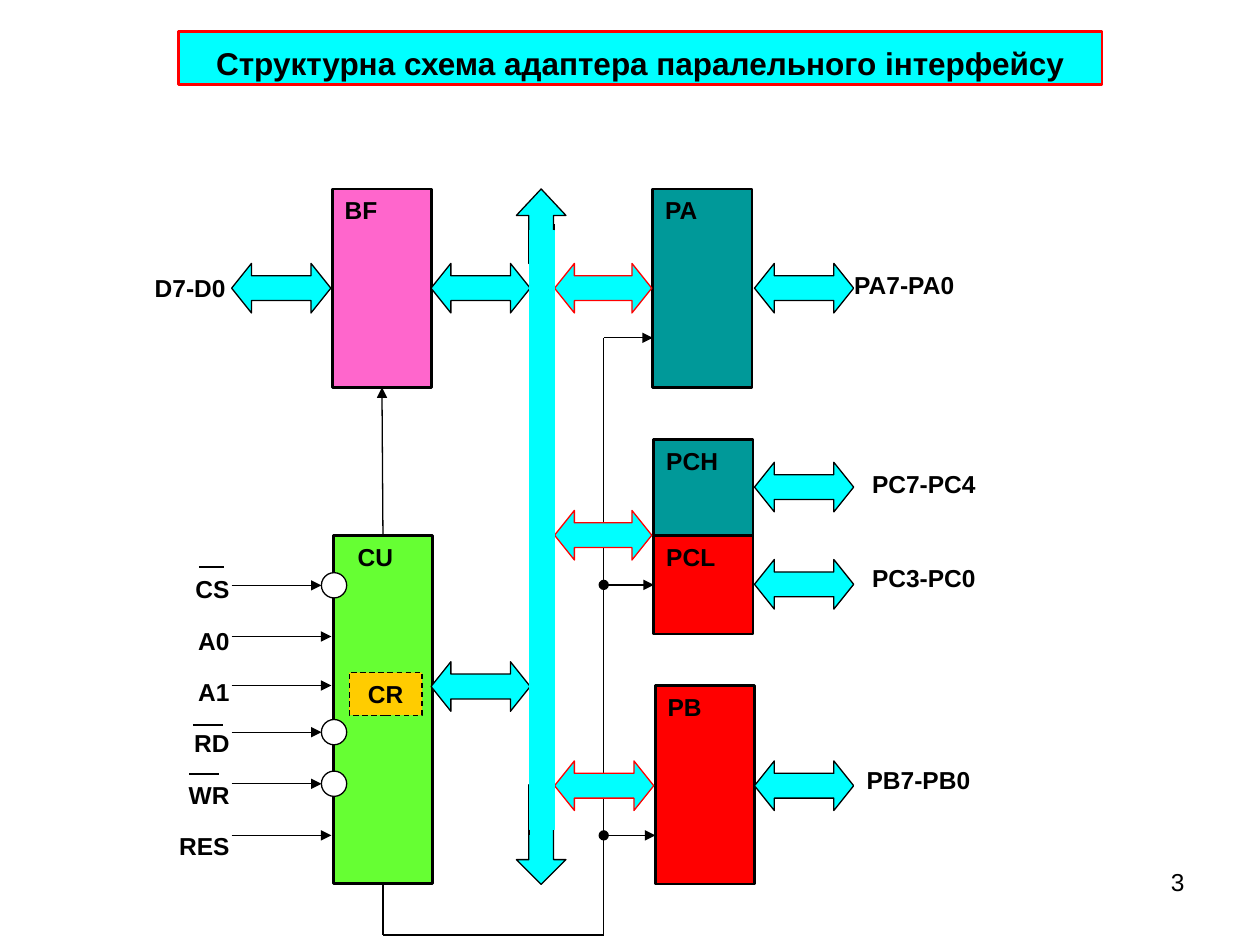
import pptx
import pptx.util
import pptx.dml.color
import pptx.enum.dml
import pptx.enum.shapes
import pptx.enum.text
import lxml.etree

Cm, Pt = pptx.util.Cm, pptx.util.Pt
SHAPE = pptx.enum.shapes.MSO_SHAPE
ALIGN = pptx.enum.text.PP_ALIGN
ANCHOR = pptx.enum.text.MSO_ANCHOR

COLORS = {
    "black": "000000", "white": "FFFFFF", "cyan": "00FFFF", "red": "FF0000",
    "pink": "FF66CC", "green": "66FF33", "teal": "009999", "amber": "FFCC00",
}
LABEL_FONT = {"name": "Arial", "size": Pt(14), "bold": True}
TITLE_FONT = {**LABEL_FONT, "size": Pt(18)}
NUMBER_FONT = {**LABEL_FONT, "bold": False}

# Content; all lengths are centimetres
TITLE = ("Структурна схема адаптера паралельного інтерфейсу", (3.6, 0.64, 18.62, 1.06))
SLIDE_NUMBER = ("3", (18.21, 17.35, 5.92, 1.32))

# name, box, fill, left inset
LEFT_BLOCKS = [
    ("CU", (6.72, 10.8, 2, 7.01), "green", 0.49),
    ("BF", (6.7, 3.81, 2, 4), "pink", 0.25),
]
PORT_BLOCKS = [
    ("PB", (13.21, 13.82, 2, 4), "red", 0.25),
    ("PCH", (13.18, 8.86, 2, 1.98), "teal", 0.25),
    ("PA", (13.16, 3.81, 2, 4), "teal", 0.25),
    ("PCL", (13.18, 10.8, 2, 1.98), "red", 0.25),
]
CONTROL_REGISTER = ("CR", (7.04, 13.56, 1.47, 0.86))

# label, box, side inset, alignment
PIN_LABELS = [
    ("D7-D0", (2.95, 5.38, 1.6, 0.97), 0, ALIGN.RIGHT),
    ("PA7-PA0", (17.22, 5.31, 2.51, 0.84), 0, ALIGN.LEFT),
    ("PC7-PC4", (17.58, 9.32, 2.51, 1), 0, ALIGN.LEFT),
    ("PC3-PC0", (17.58, 11.23, 2.51, 1), 0, ALIGN.LEFT),
    ("PB7-PB0", (17.22, 15.29, 2.9, 1), 0.25, ALIGN.LEFT),
]

# signal, wire height, overline (left, right, height) for inverted inputs
SIGNALS = [
    ("CS", 11.8, (4.01, 4.52, 11.43)),
    ("A0", 12.83, None),
    ("A1", 13.82, None),
    ("RD", 14.76, (3.89, 4.5, 14.61)),
    ("WR", 15.8, (3.81, 4.42, 15.6)),
    ("RES", 16.84, None),
]
SIGNAL_BOX = (2.54, 11, 2.34, 6.35)
WIRE_START, WIRE_END, INVERTER_SIZE = 4.67, 6.68, 0.51

# left, top, width of double arrows
PIN_ARROWS = [(4.67, 5.31, 2)] + [(15.21, top, 2) for top in (5.31, 9.32, 15.34, 11.28)]
LEFT_BUS_ARROWS = [(8.69, 13.34, 2), (8.69, 5.31, 2)]
PORT_BUS_ARROWS = [(11.18, 5.31, 1.96), (11.18, 10.29, 1.96), (11.18, 15.34, 2)]
BUS_ENDS = [
    (SHAPE.UP_ARROW, (10.41, 3.81, 1, 1.5), 0.534),
    (SHAPE.DOWN_ARROW, (10.41, 15.82, 1, 2.01), 0.5),
]
BUS = (10.67, 4.65, 0.51, 12.07)
BUS_EDGES = [(11.18, 4.52, 16.54), (10.67, 4.8, 16.84)]
CONTROL_X, CONTROL_BOTTOM = 12.17, 18.85
# port, height of its control branch, dot at the start
BRANCHES = [("PB", 16.84, True), ("PCL", 11.79, True), ("PA", 6.81, False)]

prs = pptx.Presentation()
prs.slide_width, prs.slide_height = Cm(25.4), Cm(19.05)
slide = prs.slides.add_slide(prs.slide_layouts[6])


def rgb(name):
    return pptx.dml.color.RGBColor.from_string(COLORS[name])


def write(part, lines, font, align=ALIGN.LEFT, spacing=1.0, left=0.25, right=0.25,
          anchor=ANCHOR.TOP):
    frame = part.text_frame
    settings = {"word_wrap": True, "vertical_anchor": anchor,
                "margin_left": Cm(left), "margin_right": Cm(right),
                "margin_top": Cm(0.13), "margin_bottom": Cm(0.13)}
    for key, value in settings.items():
        setattr(frame, key, value)
    frame.text = "\n".join(lines)
    for paragraph in frame.paragraphs:
        paragraph.alignment, paragraph.line_spacing = align, spacing
        for key, value in font.items():
            setattr(paragraph.font, key, value)
        paragraph.font.color.rgb = rgb("black")


def draw(kind, box, fill, line="black", weight=0.75, adjust=()):
    part = slide.shapes.add_shape(kind, *map(Cm, box))
    part.shadow.inherit = False
    part.fill.solid()
    part.fill.fore_color.rgb = rgb(fill)
    part.line.color.rgb = rgb(line)
    part.line.width = Pt(weight)
    for index, value in enumerate(adjust):
        part.adjustments[index] = value
    return part


def wire(start, end, head=None, tail=None, weight=0.75):
    link = slide.shapes.add_connector(
        pptx.enum.shapes.MSO_CONNECTOR.STRAIGHT, *map(Cm, (*start, *end)))
    link.line.color.rgb = rgb("black")
    link.line.width = Pt(weight)
    ns = "{http://schemas.openxmlformats.org/drawingml/2006/main}"
    outline = link.line._get_or_add_ln()
    for tag, style in (("headEnd", head), ("tailEnd", tail)):
        if style:
            lxml.etree.SubElement(outline, ns + tag, type=style)
    lxml.etree.SubElement(link._element.spPr, ns + "effectLst")
    return link


def draw_blocks(entries):
    drawn = {}
    for name, box, fill, left in entries:
        drawn[name] = draw(SHAPE.RECTANGLE, box, fill, weight=1.5)
        write(drawn[name], [name], LABEL_FONT, left=left)
    return drawn


def draw_double_arrows(entries, line="black"):
    for left, top, width in entries:
        draw(SHAPE.LEFT_RIGHT_ARROW, (left, top, width, 1), "cyan", line, adjust=(0.5, 0.4))


# Title
title_text, title_box = TITLE
title = draw(SHAPE.RECTANGLE, title_box, "cyan", "red", 1.5)
write(title, [title_text], TITLE_FONT, ALIGN.CENTER, 1.25, anchor=ANCHOR.MIDDLE)

# Blocks and the control line from CU to BF and the ports
blocks = draw_blocks(LEFT_BLOCKS)
cu_center, cu_top, cu_bottom = 7.72, 10.8, 17.81
wire((cu_center, cu_bottom), (cu_center, CONTROL_BOTTOM)).begin_connect(blocks["CU"], 2)
wire((cu_center, CONTROL_BOTTOM), (CONTROL_X, CONTROL_BOTTOM))
wire((CONTROL_X, CONTROL_BOTTOM), (CONTROL_X, BRANCHES[-1][1]))
blocks.update(draw_blocks(PORT_BLOCKS))
port_left = {name: box[0] for name, box, *_ in PORT_BLOCKS}
for port, height, dotted in BRANCHES:
    branch = wire((CONTROL_X, height), (port_left[port], height),
                  "oval" if dotted else None, "triangle")
    if port == "PCL":
        branch.end_connect(blocks[port], 1)
to_buffer = wire((cu_center, cu_top), (cu_center, 7.81), tail="triangle")
to_buffer.begin_connect(blocks["CU"], 0)
to_buffer.end_connect(blocks["BF"], 2)

# External pins
draw_double_arrows(PIN_ARROWS)
for label, box, inset, align in PIN_LABELS:
    write(draw(SHAPE.RECTANGLE, box, "white", "white"), [label], LABEL_FONT, align,
          left=inset, right=inset)

# Input signals
write(draw(SHAPE.RECTANGLE, SIGNAL_BOX, "white", "white"),
      [name for name, *_ in SIGNALS], LABEL_FONT, ALIGN.RIGHT, 1.75)
for name, height, overline in SIGNALS:
    end = WIRE_END
    if overline:
        end = 6.48
        draw(SHAPE.OVAL, (end, height - INVERTER_SIZE / 2, INVERTER_SIZE, INVERTER_SIZE), "white")
        left, right, top = overline
        wire((left, top), (right, top), weight=1)
    wire((WIRE_START, height), (end, height), tail="triangle")

# Control register
register_name, register_box = CONTROL_REGISTER
register = draw(SHAPE.RECTANGLE, register_box, "amber")
register.line.dash_style = pptx.enum.dml.MSO_LINE.DASH
write(register, [register_name], LABEL_FONT, ALIGN.CENTER)

# Internal bus
draw_double_arrows(LEFT_BUS_ARROWS)
for kind, box, depth in BUS_ENDS:
    draw(kind, box, "cyan", adjust=(0.5, depth))
draw_double_arrows(PORT_BUS_ARROWS, "red")
for x, top, bottom in BUS_EDGES:
    wire((x, top), (x, bottom))
draw(SHAPE.RECTANGLE, BUS, "cyan", "cyan")

# Slide number
number_text, number_box = SLIDE_NUMBER
write(slide.shapes.add_textbox(*map(Cm, number_box)), [number_text], NUMBER_FONT, ALIGN.RIGHT)

prs.save("out.pptx")
